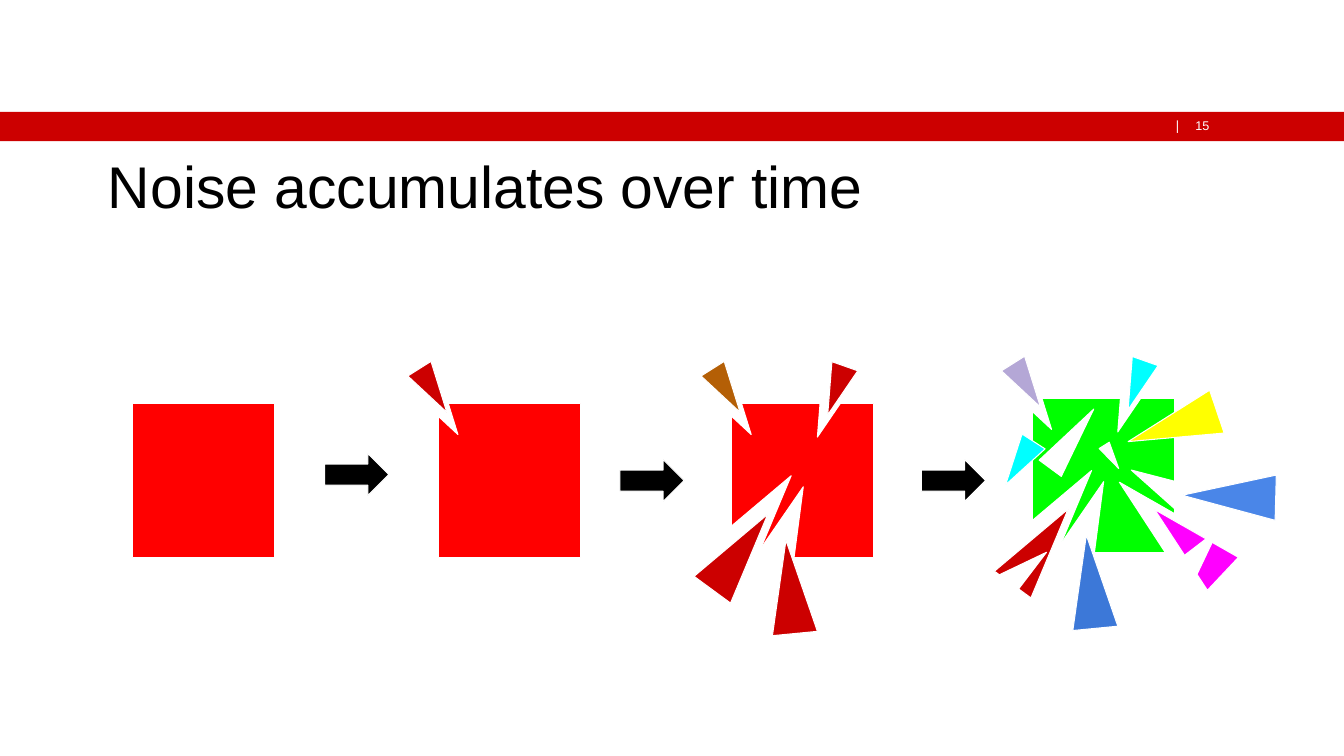
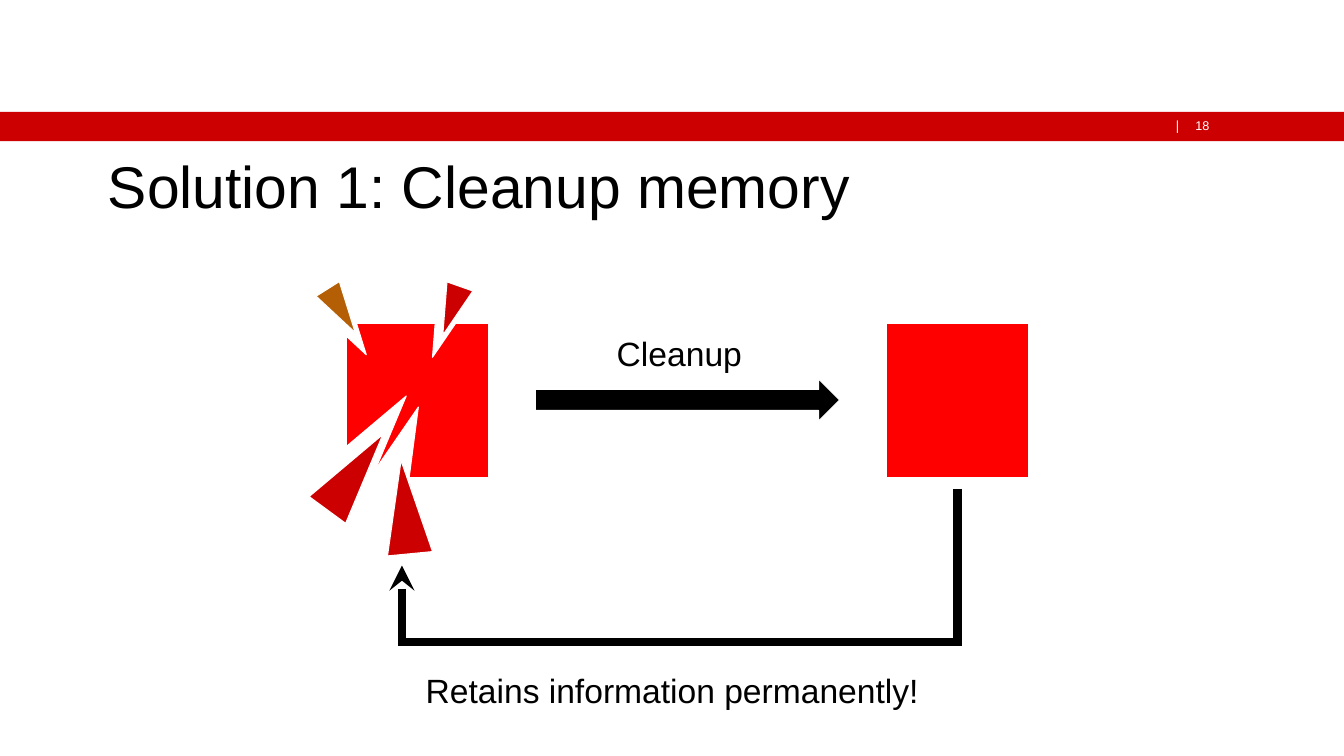
from pptx import Presentation
from pptx.dml.color import RGBColor
from pptx.enum import shapes, text
from pptx.oxml import xmlchemy as xc
from pptx.util import Cm, Pt

HUES = {
    "band": "CC0000", "red": "FF0000", "green": "00FF00", "white": "FFFFFF",
    "black": "000000", "brown": "B45F06", "lilac": "B4A7D6", "cyan": "00FFFF",
    "blue": "3C78D8", "sky": "4A86E8", "pink": "FF00FF", "yellow": "FFFF00",
}
FONT = "Arial"
WIDE, HIGH = 33.87, 19.05
BLOCK = (3.58, 3.89)
SMALL, BIG = (0.69, 1.3), (1.14, 2.36)
FORMS = shapes.MSO_SHAPE
LEFT, MID, RIGHT = (text.PP_ALIGN.LEFT, text.PP_ALIGN.CENTER,
                    text.PP_ALIGN.RIGHT)

# Each break: size, turn, notch offset, chip offset (from the block's corner)
BREAKS = [
    (SMALL, 147.8, (-0.2, -0.41), (-0.48, -0.97)),
    (SMALL, 199.4, (2.03, -0.41), (2.29, -0.97)),
    (BIG, 36.3, (0.23, 1.6), (-0.36, 2.57)),
    (BIG, 21, (0.81, 2.03), (0.91, 3.45)),
]
TILT = 354.5  # the last chip has turned away from its notch
WORN = ["brown", "band", "band", "band"]

# Further shards of the ruined block: offset, size, turn, hue
SHARDS = [
    ((2.49, 1.75), BIG, 313.3, "white"),
    ((3.38, 2.44), BIG, 313.3, "pink"),
    ((2.97, 1.19), BIG, 298.1, "white"),
    ((4.39, 1.3), BIG, 271.5, "sky"),
    ((2.97, -0.46), BIG, 251.3, "yellow"),
    ((0.66, 0.1), (0.69, 1.85), 36.3, "white"),
    ((1.85, 1.14), (0.3, 0.69), 147.9, "white"),
    ((3.38, 3.05), BIG, 39, "white"),
    ((-1.12, 3.45), BIG, 50.9, "white"),
    ((-0.66, 0.99), SMALL, 212.8, "cyan"),
]


def rgb(hue):
    return RGBColor.from_string(HUES[hue])


def add_form(slide, form, spot, size, hue, turn=0, edge=True):
    shape = slide.shapes.add_shape(form, *map(Cm, spot + size))
    shape.shadow.inherit = False
    shape.rotation = turn
    shape.fill.solid()
    shape.fill.fore_color.rgb = rgb(hue)
    if edge:
        shape.line.color.rgb = rgb("white")
        shape.line.width = Pt(0.75)
    else:
        shape.line.fill.background()
    return shape


def set_text(frame, words, size, hue, align, pads, font=FONT):
    frame.word_wrap = True
    frame.auto_size = text.MSO_AUTO_SIZE.NONE
    (frame.margin_left, frame.margin_top,
     frame.margin_right, frame.margin_bottom) = map(Cm, pads)
    frame.text = words
    line = frame.paragraphs[0]
    line.alignment = align
    line.font.size, line.font.name = Pt(size), font
    line.font.color.rgb = rgb(hue)


def add_text(slide, words, box, size=24, hue="black", align=MID, pad=0.25,
             font=FONT):
    shape = slide.shapes.add_textbox(*map(Cm, box))
    set_text(shape.text_frame, words, size, hue, align, [pad] * 4, font)
    return shape


def add_line(slide, start, end, head=False):
    line = slide.shapes.add_connector(shapes.MSO_CONNECTOR.STRAIGHT,
                                      *map(Cm, start + end))
    line.line.color.rgb = rgb("black")
    line.line.width = Pt(6)
    if head:
        tip = xc.OxmlElement("a:headEnd")
        tip.set("type", "stealth")
        line.line._get_or_add_ln().append(tip)
    line.element.spPr.append(xc.OxmlElement("a:effectLst"))


def add_arrow(slide, spot, width=1.62):
    add_form(slide, FORMS.RIGHT_ARROW, spot, (width, 1.06), "black")


# Block with its shards, placed from the block's top left corner
def add_block(slide, spot, hue="red", chips=(), shards=()):
    def shard(move, size, turn, tint):
        place = (spot[0] + move[0], spot[1] + move[1])
        add_form(slide, FORMS.ISOSCELES_TRIANGLE, place, size, tint, turn)

    add_form(slide, FORMS.RECTANGLE, spot, BLOCK, hue)
    for part, tint in zip(BREAKS, chips):
        size, turn, notch, chip = part
        shard(notch, size, turn, "white")
        shard(chip, size, TILT if part is BREAKS[-1] else turn, tint)
    for part in shards:
        shard(*part)


# Shared frame: band and bar go to the layout, title and number to the slide
def dress(layout, slide):
    band = add_form(slide, FORMS.RECTANGLE, (0, 2.82), (WIDE, 0.74), "band",
                    edge=False)
    bar = add_text(slide, "|", (29.62, 2.97, 0.15, 0.38), 9, "white", LEFT, 0,
                   "DejaVu Sans")
    for shape in (band, bar):
        layout.shapes.element.append(shape.element)


def add_slide(deck, layout, title, number):
    slide = deck.slides.add_slide(layout)
    if len(deck.slides) == 1:
        dress(layout, slide)
    head = slide.shapes.title
    head.left, head.top, head.width, head.height = map(
        Cm, (0, 3.56, WIDE, 2.2))
    set_text(head.text_frame, title, 42, "black", LEFT,
             (2.72, 0.13, 0.76, 0.13))
    head.text_frame.vertical_anchor = text.MSO_ANCHOR.MIDDLE
    add_text(slide, str(number), (29.77, 2.97, 0.71, 0.38), 9, "white",
             RIGHT, 0)
    return slide


# Row of blocks that decay step by step
def draw_noise(slide, left, top):
    add_block(slide, (left, top))
    add_block(slide, (left + 7.72, top), chips=["band"])
    add_block(slide, (left + 15.11, top), chips=WORN)
    add_block(slide, (left + 22.68, top - 0.13), "green",
              ["lilac", "cyan", "band", "blue"], SHARDS)
    for across, down in ((4.85, 1.27), (12.29, 1.42), (19.89, 1.42)):
        add_arrow(slide, (left + across, top + down))


# Worn block, cleaned block and the way back
def draw_cleanup(slide, left, top):
    add_block(slide, (left, top), chips=WORN)
    add_arrow(slide, (left + 4.75, top + 1.4), 7.67)
    add_block(slide, (left + 13.59, top))
    add_text(slide, "Cleanup", (left + 5.61, top, 5.54, 1.55))
    start, end, base = left + 1.39, left + 15.39, top + 8.03
    add_line(slide, (end, top + 4.17), (end, base + 0.1))
    add_line(slide, (start, top + 6.1), (start, base), head=True)
    add_line(slide, (start - 0.1, base), (end + 0.08, base))
    add_text(slide, "Retains information permanently!",
             (left + 1.47, top + 8.49, 13.46, 1.55))


def main():
    deck = Presentation()
    deck.slide_width, deck.slide_height = Cm(WIDE), Cm(HIGH)
    layout = deck.slide_layouts.get_by_name("Title Only")
    noise = add_slide(deck, layout, "Noise accumulates over time", 15)
    draw_noise(noise, 3.33, 10.16)
    clean = add_slide(deck, layout, "Solution 1: Cleanup memory", 18)
    draw_cleanup(clean, 8.74, 8.15)
    deck.save("out.pptx")


if __name__ == "__main__":
    main()
